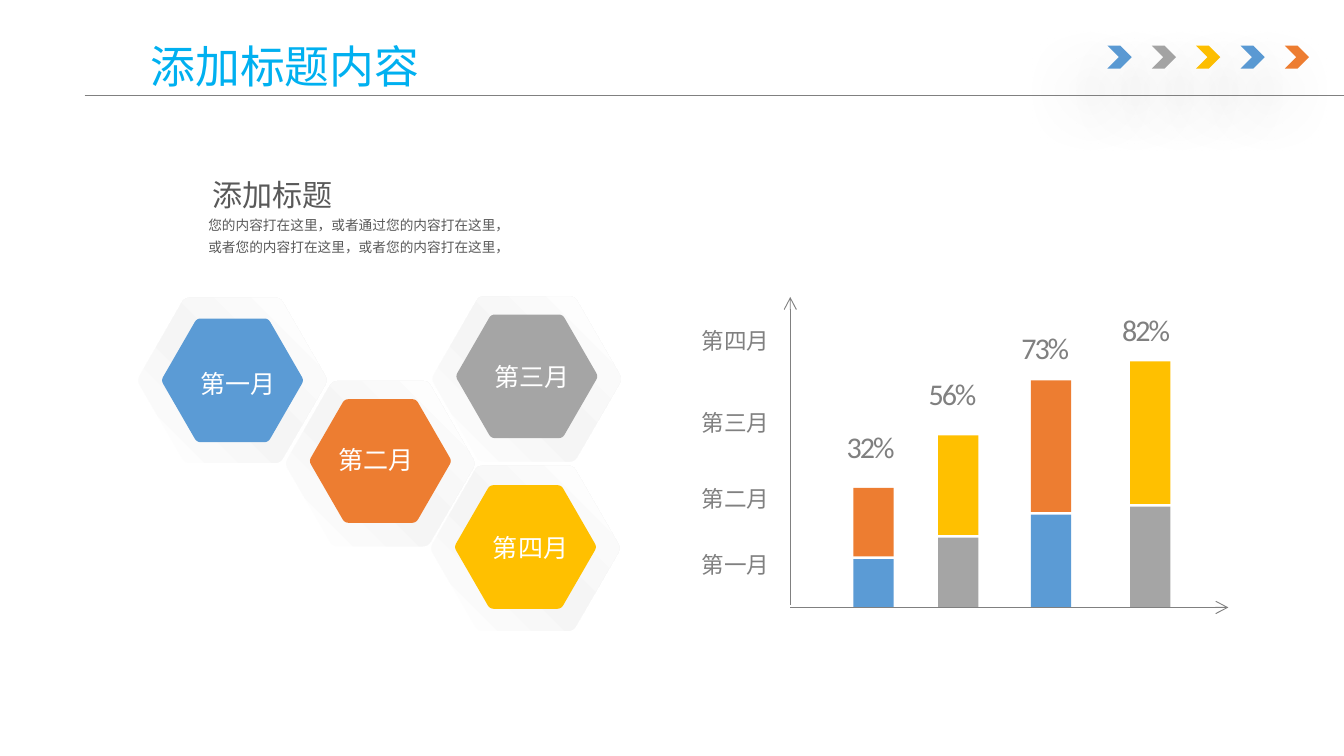
"""Build a slide with a hexagon cluster of months and a hand-drawn stacked bar diagram."""
import copy
import math

from lxml import etree
from pptx import Presentation
from pptx import util as u
from pptx.dml import color as dml
from pptx.enum import shapes, text
from pptx.oxml import ns

COLORS = {
    "blue": "5B9BD5", "gray": "A5A5A5", "yellow": "FFC000", "orange": "ED7D31",
    "title": "00B0F0", "axis": "808080", "body": "595959", "white": "FFFFFF",
    "pale": "F5F5F5", "black": "000000",
}
CJK = "Noto Sans CJK SC"


def write(shape, content, size, color, font=CJK, insets=(0.1, 0.05), spacing=1.0):
    frame = shape.text_frame
    frame.text = content
    frame.word_wrap = True
    frame.margin_left = frame.margin_right = u.Inches(insets[0])
    frame.margin_top = frame.margin_bottom = u.Inches(insets[1])
    paragraph = frame.paragraphs[0]
    paragraph.alignment = text.PP_ALIGN.LEFT
    paragraph.line_spacing = spacing
    run = paragraph.runs[0]
    run.font.size = u.Pt(size)
    run.font.name = font
    run.font.color.rgb = dml.RGBColor.from_string(COLORS[color])
    etree.SubElement(run.font._element, ns.qn("a:ea"), typeface=font)
    return run


def add_hexagon(center_x, center_y, height, color):
    radius = height / math.sqrt(3)
    corners = [(center_x + radius * math.cos(math.radians(angle)),
                center_y + radius * math.sin(math.radians(angle)))
               for angle in range(0, 360, 60)]
    cut = 0.055
    outline = []
    for index, corner in enumerate(corners):
        before, after = corners[index - 1], corners[(index + 1) % 6]
        for step in range(5):
            t = step / 4
            outline.append(tuple(
                c + cut * ((1 - t) ** 2 * (b - c) + t ** 2 * (a - c))
                for b, c, a in zip(before, corner, after)))
    points = [(u.Inches(x), u.Inches(y)) for x, y in outline]
    builder = slide.shapes.build_freeform(*points[0])
    builder.add_line_segments(points[1:], close=True)
    hexagon = builder.convert_to_shape()
    hexagon.shadow.inherit = False
    hexagon.line.fill.background()
    hexagon.fill.solid()
    hexagon.fill.fore_color.rgb = dml.RGBColor.from_string(COLORS[color])
    return hexagon


presentation = Presentation()
presentation.slide_width = u.Inches(10)
presentation.slide_height = u.Inches(10 * 9 / 16)
slide = presentation.slides.add_slide(presentation.slide_layouts[5])

title = slide.shapes.title
title.left, title.top = u.Inches(1.02), u.Inches(-0.03)
title.width, title.height = u.Inches(8.62), u.Inches(1.09)
write(title, "添加标题内容", 24, "title", spacing=0.9)
title.text_frame.auto_size = text.MSO_AUTO_SIZE.NONE
title.text_frame.vertical_anchor = text.MSO_ANCHOR.MIDDLE

for index, color in enumerate(["blue", "gray", "yellow", "blue", "orange"]):
    chevron = slide.shapes.add_shape(
        shapes.MSO_SHAPE.CHEVRON, u.Inches(8.24 + 0.33 * index), u.Inches(0.34),
        u.Inches(0.18), u.Inches(0.17))
    chevron.fill.solid()
    chevron.fill.fore_color.rgb = dml.RGBColor.from_string(COLORS[color])
    chevron.line.fill.background()
    chevron.shadow.inherit = False
    effects = chevron._element.spPr.find(ns.qn("a:effectLst"))
    shadow = etree.SubElement(
        effects, ns.qn("a:outerShdw"), blurRad=str(u.Pt(36)), dist=str(u.Pt(24)),
        dir=str(130 * 60000), algn="ctr", rotWithShape="0")
    shade = etree.SubElement(shadow, ns.qn("a:srgbClr"), val=COLORS["black"])
    etree.SubElement(shade, ns.qn("a:alpha"), val="38000")

months = [
    ("第一月", "blue", 1.73, 2.83, 2.83, 1.39, 2.69),
    ("第二月", "orange", 2.83, 3.45, 3.43, 2.42, 3.26),
    ("第三月", "gray", 3.92, 2.82, 2.8, 3.58, 2.64),
    ("第四月", "yellow", 3.91, 4.08, 4.07, 3.57, 3.91),
]
for month, color, center_x, rim_y, core_y, label_x, label_y in months:
    add_hexagon(center_x, rim_y, 1.24, "white")
    rim = add_hexagon(center_x, rim_y, 1.23, "white")
    rim.fill.gradient()
    rim.fill.gradient_angle = 45
    stop_list = rim._element.spPr.find(".//" + ns.qn("a:gsLst"))
    stop_list.insert(1, copy.deepcopy(stop_list[0]))
    for stop, position, tone in zip(
            rim.fill.gradient_stops, (0, 0.47, 1), ("white", "pale", "white")):
        stop.position = position
        stop.color.rgb = dml.RGBColor.from_string(COLORS[tone])
    add_hexagon(center_x, core_y, 0.92, color)
    label = slide.shapes.add_textbox(
        u.Inches(label_x), u.Inches(label_y), u.Inches(0.87), u.Inches(0.33))
    write(label, month, 13.4, "white")

base, bar_width, gap = 4.52, 0.3, 0.02
bars = [
    ("32%", 6.35, 0.36, "blue", 0.51, "orange", 6.22, 3.15),
    ("56%", 6.98, 0.52, "gray", 0.74, "yellow", 6.83, 2.75),
    ("73%", 7.67, 0.69, "blue", 0.98, "orange", 7.52, 2.41),
    ("82%", 8.41, 0.75, "gray", 1.06, "yellow", 8.27, 2.28),
]
for percent, left, low, low_color, high, high_color, label_x, label_y in bars:
    for top, height, color in [(base - low, low, low_color),
                               (base - low - gap - high, high, high_color)]:
        bar = slide.shapes.add_shape(
            shapes.MSO_SHAPE.RECTANGLE, u.Inches(left), u.Inches(top),
            u.Inches(bar_width), u.Inches(height))
        bar.shadow.inherit = False
        bar.line.fill.background()
        bar.fill.solid()
        bar.fill.fore_color.rgb = dml.RGBColor.from_string(COLORS[color])
    label = slide.shapes.add_textbox(
        u.Inches(label_x), u.Inches(label_y), u.Inches(0.55), u.Inches(0.35))
    run = write(label, percent, 16.1, "axis", "Calibri", (0.08, 0.04))
    run.font._element.set("spc", "-110")

lines = [(0.63, 0.71, 10, 0.71, False), (5.88, base, 9.14, base, True),
         (5.88, 4.5, 5.88, 2.21, True)]
for start_x, start_y, end_x, end_y, has_arrow in lines:
    line = slide.shapes.add_connector(
        shapes.MSO_CONNECTOR.STRAIGHT, u.Inches(start_x), u.Inches(start_y),
        u.Inches(end_x), u.Inches(end_y))
    line.line.width = u.Pt(0.5)
    line.line.color.rgb = dml.RGBColor.from_string(COLORS["axis"])
    if has_arrow:
        etree.SubElement(line.line._get_or_add_ln(), ns.qn("a:tailEnd"), type="arrow")
    etree.SubElement(line._element.spPr, ns.qn("a:effectLst"))

for month, top in zip([row[0] for row in months], [4.07, 3.58, 3.01, 2.4]):
    label = slide.shapes.add_textbox(
        u.Inches(5.15), u.Inches(top), u.Inches(0.73), u.Inches(0.27))
    write(label, month, 12.1, "axis", insets=(0.07, 0.03))

heading = slide.shapes.add_textbox(
    u.Inches(1.51), u.Inches(1.18), u.Inches(1.04), u.Inches(0.4))
write(heading, "添加标题", 16.1, "body", insets=(0.07, 0), spacing=1.5)
description = slide.shapes.add_textbox(
    u.Inches(1.48), u.Inches(1.55), u.Inches(2.39), u.Inches(0.39))
write(description,
      "您的内容打在这里，或者通过您的内容打在这里，或者您的内容打在这里，或者您的内容打在这里，",
      7.3, "body", insets=(0.07, 0.03), spacing=1.3)

presentation.save("out.pptx")
